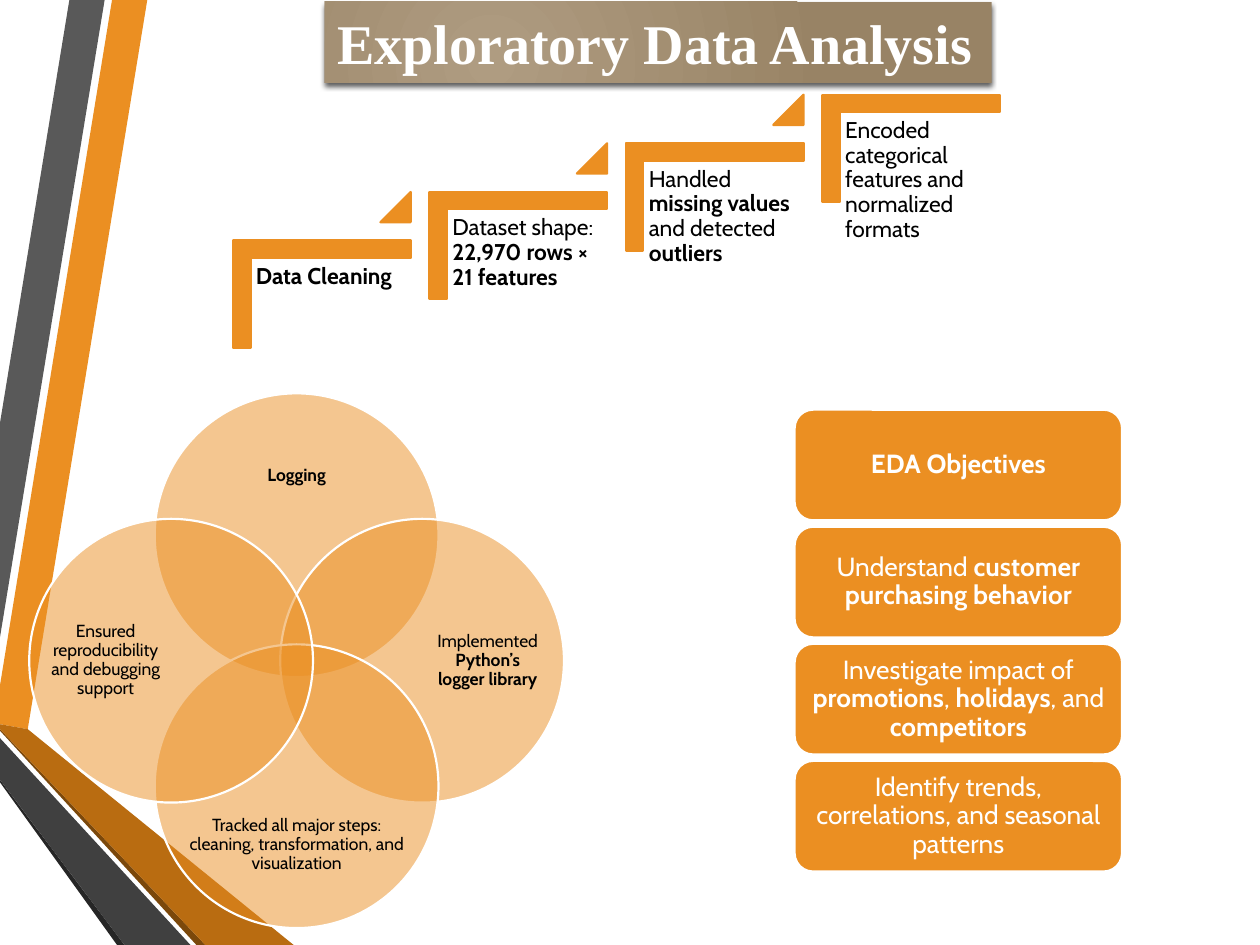
import pptx
import pptx.dml.color
import pptx.enum.shapes
import pptx.enum.text
import pptx.oxml
import pptx.oxml.ns
import pptx.util
from lxml import etree

Cm = pptx.util.Cm
Pt = pptx.util.Pt
Kind = pptx.enum.shapes.MSO_SHAPE
Align = pptx.enum.text.PP_ALIGN
Anchor = pptx.enum.text.MSO_ANCHOR
qn = pptx.oxml.ns.qn

ORANGE, WHITE, BLACK = "EB8F22", "FFFFFF", "000000"


def rgb(code):
    return pptx.dml.color.RGBColor.from_string(code)


class Deck:
    font = "Cabin"
    line = 1.25

    def __init__(self, wide, high):
        self.prs = pptx.Presentation()
        self.prs.slide_width, self.prs.slide_height = Cm(wide), Cm(high)
        self.slide = self.prs.slides.add_slide(self.prs.slide_layouts[6])

    def paint(self, shape, fill, edge=None, alpha=None):
        shape.shadow.inherit = False
        shape.fill.solid()
        shape.fill.fore_color.rgb = rgb(fill)
        if alpha:
            color = shape.fill._xPr.find(".//" + qn("a:srgbClr"))
            etree.SubElement(color, qn("a:alpha"), val=str(alpha * 1000))
        if edge:
            shape.line.color.rgb = rgb(edge)
            shape.line.width = Pt(self.line)
        else:
            shape.line.fill.background()

    def shape(self, kind, box, fill, edge=None, alpha=None, adj=()):
        shape = self.slide.shapes.add_shape(kind, *map(Cm, box))
        self.paint(shape, fill, edge, alpha)
        for i, value in enumerate(adj):
            shape.adjustments[i] = value
        return shape

    def band(self, points, fill):
        """Draw a closed polygon through points given in cm."""
        spots = [(Cm(x), Cm(y)) for x, y in points]
        form = self.slide.shapes.build_freeform(*spots[0], scale=1.0)
        form.add_line_segments(spots[1:], close=True)
        self.paint(form.convert_to_shape(), fill)

    def letter(self, shape, text, size, color=BLACK, pad=(0, 0),
               align=Align.CENTER, anchor=Anchor.MIDDLE):
        """Fill a shape with text; parts between asterisks are bold."""
        frame = shape.text_frame
        frame.word_wrap = True
        frame.vertical_anchor = anchor
        frame.margin_left = frame.margin_right = Cm(pad[0])
        frame.margin_top = frame.margin_bottom = Cm(pad[1])
        para = frame.paragraphs[0]
        para.alignment, para.line_spacing = align, 0.9
        for i, part in enumerate(text.split("*")):
            if part:
                run = para.add_run()
                run.text = part
                run.font.name, run.font.size = self.font, Pt(size)
                run.font.bold = i % 2 == 1
                run.font.color.rgb = rgb(color)

    def label(self, box, text, size, **style):
        area = self.slide.shapes.add_textbox(*map(Cm, box))
        self.letter(area, text, size, **style)

    def title(self, box, text):
        shape = self.shape(Kind.RECTANGLE, box, WHITE)
        shape.fill.gradient()
        for stop, code in zip(shape.fill.gradient_stops, ("AF9C81", "988365")):
            stop.color.rgb = rgb(code)
        grad = shape.fill._xPr.find(qn("a:gradFill"))
        grad.remove(grad.find(qn("a:lin")))
        round_ = etree.SubElement(grad, qn("a:path"), {"path": "circle"})
        etree.SubElement(round_, qn("a:fillToRect"),
                         l="50000", t="100000", r="100000", b="50000")
        glow = etree.SubElement(
            shape.fill._xPr.find(qn("a:effectLst")), qn("a:outerShdw"),
            blurRad=str(Pt(3)), dist=str(Pt(2)), dir="5400000", rotWithShape="0")
        color = etree.SubElement(glow, qn("a:srgbClr"), val=BLACK)
        etree.SubElement(color, qn("a:alpha"), val="64000")
        frame = shape.text_frame
        frame.text = text
        frame.word_wrap = False
        frame.vertical_anchor = Anchor.TOP
        para = frame.paragraphs[0]
        para.alignment = Align.LEFT
        font = para.runs[0].font
        font.name, font.size, font.bold = "Times New Roman", Pt(32), True
        font.color.rgb = rgb(WHITE)

    def step(self, x, y, text, last):
        """Draw one stair whose angle starts at x, y, and the arrow after it."""
        wide, high = 3.58, 2.16
        turn = (wide - high) / 2
        angle = self.shape(Kind.CORNER, (x + turn, y - turn, high, wide),
                           ORANGE, ORANGE, adj=(0.161, 0.161))
        angle.rotation = 90
        self.label((x + 0.33, y + 0.36, 3.23, 2.84), text, 13, pad=(0.13, 0.13),
                   align=Align.LEFT, anchor=Anchor.TOP)
        if not last:
            self.shape(Kind.ISOSCELES_TRIANGLE, (x + 2.97, y - 0.98, 0.61, 0.61),
                       ORANGE, ORANGE, adj=(1,))

    def ring(self, dx, dy, text):
        """Draw one Venn circle, moved from the centre towards dx, dy."""
        mid, top, size, shift = 5.98, 13.32, 5.72, 2.53
        self.shape(Kind.OVAL, (mid + dx * shift - size / 2,
                               top + dy * shift - size / 2, size, size),
                   ORANGE, WHITE, alpha=50)
        wide, high = (2.21, 4.39) if dx else (4.39, 1.8)
        self.label((mid + dx * 3.85 - wide / 2, top + dy * 3.72 - high / 2,
                    wide, high), text, 10)

    def card(self, box, text):
        shape = self.shape(Kind.ROUNDED_RECTANGLE, box, ORANGE, WHITE)
        self.letter(shape, text, 15, color=WHITE, pad=(0.15, 0.08))


BANDS = [
    (ORANGE, [(0, 13.82), (0, 14.6), (0.56, 14.7), (2.97, 0), (2.26, 0)]),
    ("595959", [(2.11, 0), (1.4, 0), (0, 8.53), (0, 12.85)]),
    ("262626", [(0, 15.72), (0, 15.77), (2.36, 19.05), (2.51, 19.05)]),
    ("7B480B", [(0, 14.7), (0, 14.73), (3.96, 19.05), (4.14, 19.05)]),
    ("B96C11", [(0, 14.7), (4.14, 19.05), (5.92, 19.05), (0.56, 14.7), (0, 14.6)]),
    ("404040", [(0, 15.72), (2.51, 19.05), (3.84, 19.05), (0, 14.88)]),
]
STEPS = [
    "*Data Cleaning*",
    "Dataset shape: *22,970 rows × 21 features*",
    "Handled *missing values* and detected *outliers*",
    "Encoded categorical features and normalized formats",
]
RINGS = [
    (0, -1, "*Logging*"),
    (1, 0, "Implemented *Python’s logger library*"),
    (0, 1, "Tracked all major steps: cleaning, transformation, and visualization"),
    (-1, 0, "Ensured reproducibility and debugging support"),
]
GOALS = [
    "*EDA Objectives*",
    "Understand *customer purchasing behavior*",
    "Investigate impact of *promotions*, *holidays*, and *competitors*",
    "Identify trends, correlations, and seasonal patterns",
]


def main():
    deck = Deck(25.4, 19.05)
    for fill, points in BANDS:
        deck.band(points, fill)
    deck.title((6.55, 0.04, 13.44, 1.63), "Exploratory Data Analysis")
    for i, text in enumerate(STEPS):
        deck.step(4.7 + 3.96 * i, 4.85 - 0.98 * i, text, i == len(STEPS) - 1)
    for dx, dy, text in RINGS:
        deck.ring(dx, dy, text)
    for i, text in enumerate(GOALS):
        deck.card((16.02, 8.26 + 2.36 * i, 6.6, 2.23), text)
    deck.prs.save("out.pptx")


if __name__ == "__main__":
    main()
